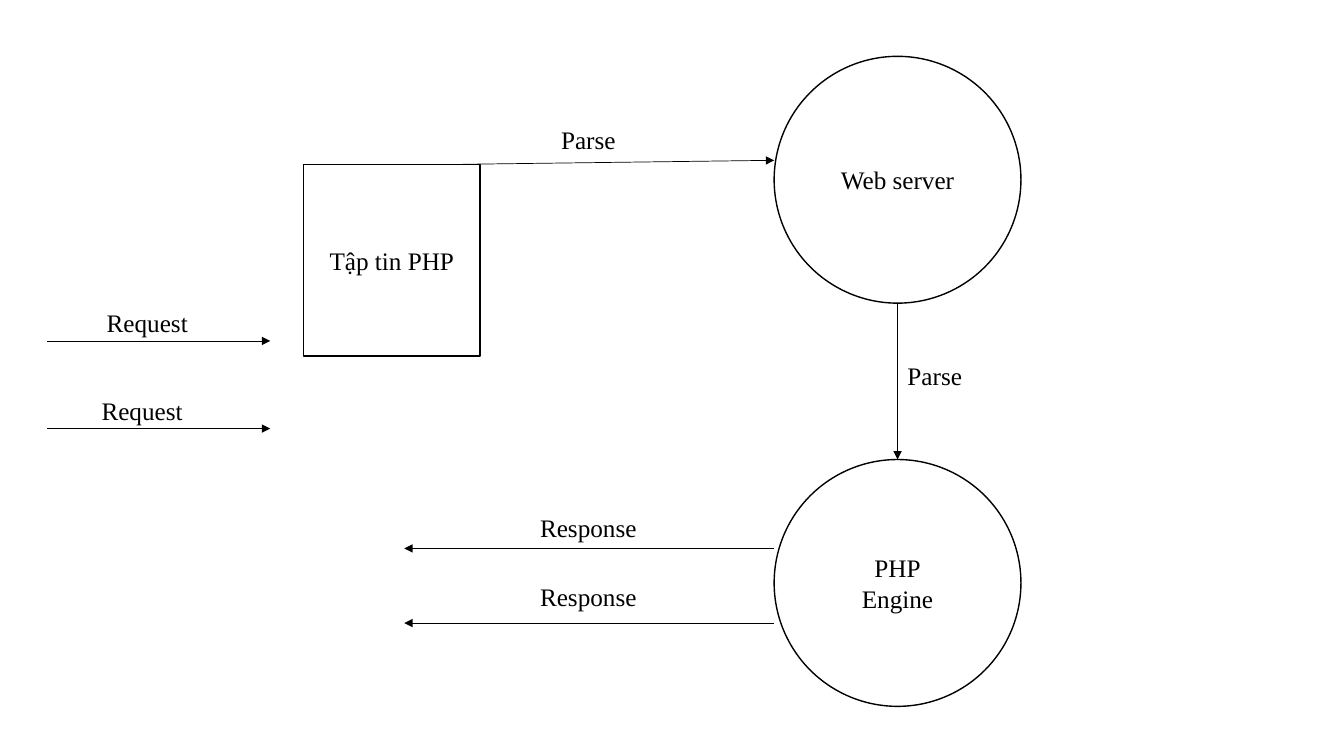
from collections import namedtuple

from lxml.etree import SubElement
from pptx import Presentation
from pptx.dml.color import RGBColor
from pptx.enum.shapes import MSO_CONNECTOR, MSO_SHAPE
from pptx.enum.text import MSO_ANCHOR, PP_ALIGN
from pptx.oxml.ns import qn
from pptx.util import Cm, Pt

Box = namedtuple("Box", "left top width height")

BLACK = "000000"
WHITE = "FFFFFF"
TEXT_FORMAT = {"name": "Times New Roman", "size": Pt(18)}
NODE_FRAME = {"word_wrap": True, "vertical_anchor": MSO_ANCHOR.MIDDLE}
LABEL_FRAME = {"word_wrap": False, "vertical_anchor": MSO_ANCHOR.TOP}
LABEL_HEIGHT = 1.02


def color(value):
    return RGBColor.from_string(value)


def set_attributes(target, values):
    for name, value in values.items():
        setattr(target, name, value)


def write_text(shape, text, frame_format, alignment):
    frame = shape.text_frame
    set_attributes(frame, frame_format)
    frame.text = text
    for paragraph in frame.paragraphs:
        paragraph.alignment = alignment
        set_attributes(paragraph.font, TEXT_FORMAT)
        paragraph.font.color.rgb = color(BLACK)


def add_node(slide, kind, box, text):
    shape = slide.shapes.add_shape(kind, *map(Cm, box))
    shape.shadow.inherit = False
    shape.fill.solid()
    shape.fill.fore_color.rgb = color(WHITE)
    shape.line.color.rgb = color(BLACK)
    shape.line.width = Pt(1)
    write_text(shape, text, NODE_FRAME, PP_ALIGN.CENTER)


def add_label(slide, left, top, width, text):
    label = slide.shapes.add_textbox(*map(Cm, (left, top, width, LABEL_HEIGHT)))
    write_text(label, text, LABEL_FRAME, PP_ALIGN.LEFT)


def add_arrow(slide, start, end):
    arrow = slide.shapes.add_connector(MSO_CONNECTOR.STRAIGHT, *map(Cm, start + end))
    arrow.line.color.rgb = color(BLACK)
    arrow.line.width = Pt(0.5)
    SubElement(arrow.line._get_or_add_ln(), qn("a:tailEnd"), type="triangle")
    SubElement(arrow._element.spPr, qn("a:effectLst"))


def add_requests(slide, box):
    right = box.left + box.width
    for y, indent in ((box.top, 1.25), (box.top + box.height, 1.12)):
        add_arrow(slide, (box.left, y), (right, y))
        add_label(slide, box.left + indent, y - 0.97, 2.64, "Request")


def add_php_file(slide, box, server):
    add_node(slide, MSO_SHAPE.RECTANGLE, box, "Tập tin PHP")
    start = (box.left + box.width - 0.44, box.top)
    add_arrow(slide, start, (server.left, box.top - 0.1))
    add_label(slide, start[0] + 2.23, box.top - 1.14, 1.9, "Parse")


def add_servers(slide, box):
    diameter = box.width
    center = box.left + diameter / 2
    engine_top = box.top + box.height - diameter
    for top, text in ((box.top, "Web server"), (engine_top, "PHP\nEngine")):
        add_node(slide, MSO_SHAPE.OVAL, Box(box.left, top, diameter, diameter), text)
    server_bottom = box.top + diameter
    add_arrow(slide, (center, server_bottom), (center, engine_top))
    add_label(slide, center, server_bottom + 1.32, 1.9, "Parse")


def add_responses(slide, box):
    right = box.left + box.width
    for y, rise in ((box.top, 1.04), (box.top + box.height, 1.17)):
        add_arrow(slide, (right, y), (box.left, y))
        add_label(slide, box.left + 3.17, y - rise, 3, "Response")


def main():
    presentation = Presentation()
    presentation.slide_width = Cm(33.87)
    presentation.slide_height = Cm(19.05)
    slide = presentation.slides.add_slide(presentation.slide_layouts[6])

    servers = Box(19.51, 1.42, 6.22, 16.38)
    add_php_file(slide, Box(7.65, 4.14, 4.45, 4.83), servers)
    add_servers(slide, servers)
    add_responses(slide, Box(10.19, 13.82, 9.32, 1.88))
    add_requests(slide, Box(1.19, 8.59, 5.62, 2.21))

    presentation.save("out.pptx")


if __name__ == "__main__":
    main()
